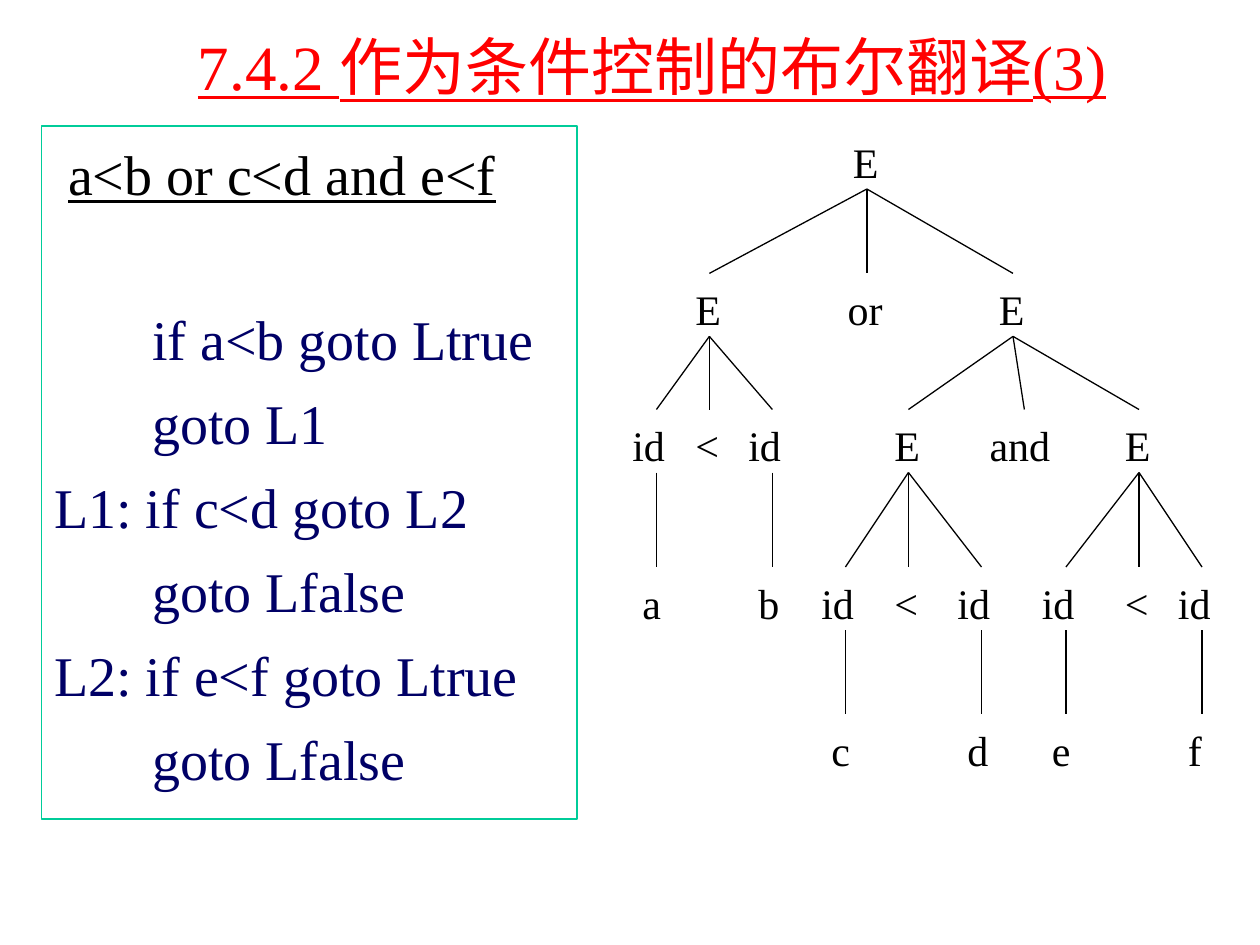
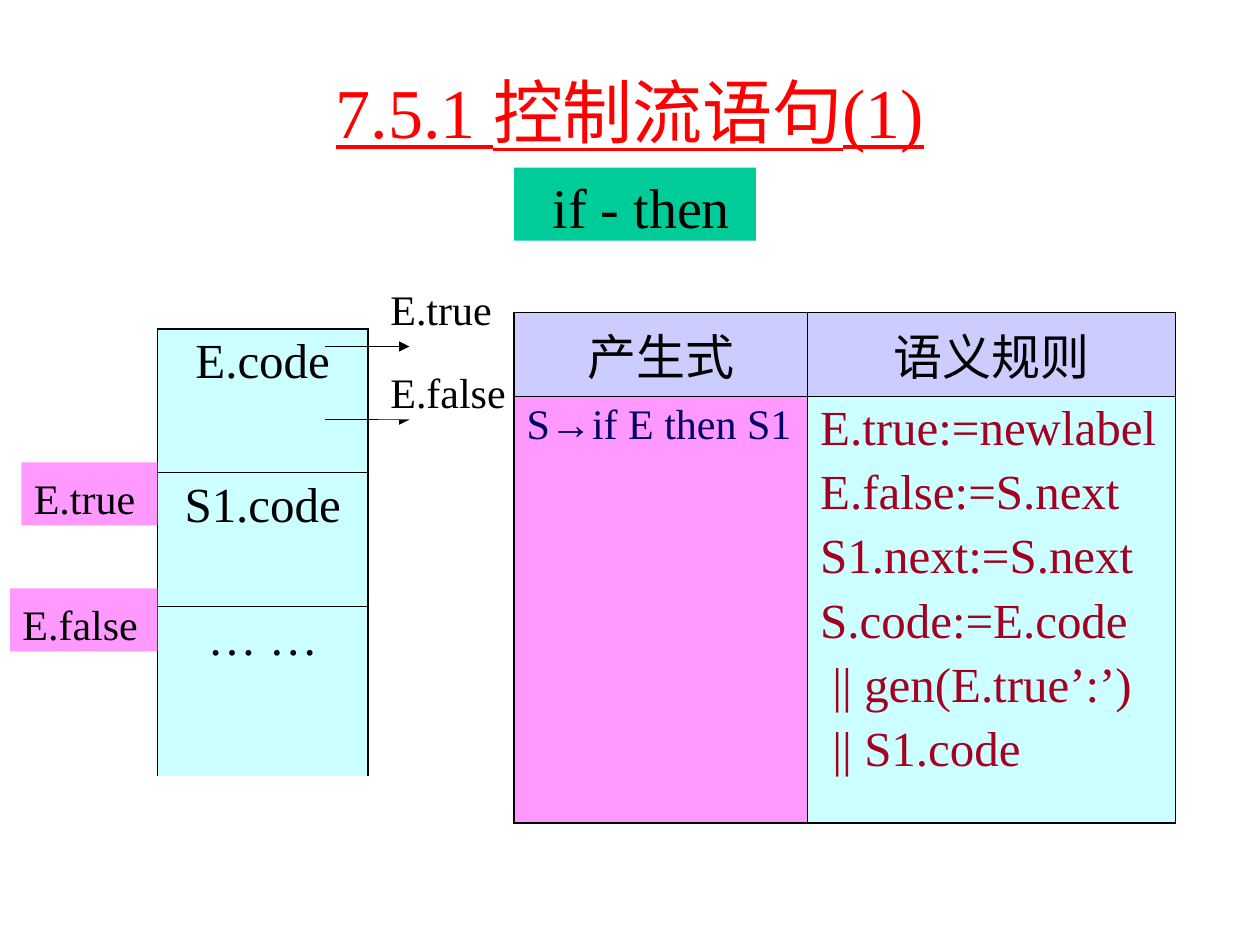
from lxml import etree
from pptx import Presentation
from pptx.dml.color import RGBColor
from pptx.enum.shapes import MSO_CONNECTOR, MSO_SHAPE
from pptx.enum.text import MSO_ANCHOR, MSO_AUTO_SIZE, PP_ALIGN
from pptx.oxml.ns import qn
from pptx.util import Inches, Pt

LINE, RECT = MSO_CONNECTOR.STRAIGHT, MSO_SHAPE.RECTANGLE
TOP, MIDDLE = MSO_ANCHOR.TOP, MSO_ANCHOR.MIDDLE
LEFT, CENTER = PP_ALIGN.LEFT, PP_ALIGN.CENTER
NOFIT = MSO_AUTO_SIZE.NONE
FONT = "Times New Roman"
COLORS = {
    "black": "000000", "white": "FFFFFF", "red": "FF0000", "green": "00CC99",
    "navy": "000066", "wine": "A50021", "pink": "FF99FF", "cyan": "CCFFFF",
    "lilac": "CCCCFF",
}
THIN, THICK = 0.45, 1.08

ROWS = [1, 2.17, 3.25, 4.5, 5.67]
WIDTHS = {"id": 0.58, "or": 0.5, "and": 0.75}
HIGH = 0.5


def node(text, x, *kids):
    return text, x, kids


def test(x, left, mid, right):
    """Subtree of one comparison; left and right are (name, x)."""
    (a, ax), (b, bx) = left, right
    return node("E", x, node("id", ax, node(a, ax)), node("<", mid),
                node("id", bx, node(b, bx)))


TREE = node(
    "E", 6.88,
    test(5.63, ("a", 5.21), 5.63, ("b", 6.13)),
    node("or", 6.88),
    node("E", 8.04,
         test(7.21, ("c", 6.71), 7.21, ("d", 7.79)),
         node("and", 8.13),
         test(9.04, ("e", 8.46), 9.04, ("f", 9.54))))

CODE = [
    "       if a<b goto Ltrue", "       goto L1",
    "L1: if c<d goto L2", "       goto Lfalse",
    "L2: if e<f goto Ltrue", "       goto Lfalse",
]
RULES = [
    "E.true:=newlabel", "E.false:=S.next", "S1.next:=S.next",
    "S.code:=E.code", " || gen(E.true’:’)", " || S1.code",
]


def rgb(name):
    return RGBColor.from_string(COLORS[name])


def place(shape, box):
    for key, val in zip(("left", "top", "width", "height"), box):
        setattr(shape, key, Inches(val))


class Deck:
    def __init__(self):
        self.prs = Presentation()
        self.prs.slide_width, self.prs.slide_height = Inches(10), Inches(7.5)
        self.slide = None

    def page(self, layout):
        self.slide = self.prs.slides.add_slide(self.prs.slide_layouts[layout])

    def say(self, par, text, size, color="black", align=LEFT, gap=0,
            **extra):
        """Fill one paragraph with text and format it."""
        par.text = text
        par.alignment = align
        par.space_before = Pt(gap)
        font = par.runs[0].font
        form = {"name": FONT, "size": Pt(size), **extra}
        for key, val in form.items():
            setattr(font, key, val)
        font.color.rgb = rgb(color)

    def frame(self, shape, **extra):
        form = {"word_wrap": True, "auto_size": NOFIT, "vertical_anchor": TOP,
                "margin_left": Inches(0.1), "margin_right": Inches(0.1),
                "margin_top": Inches(0.05), "margin_bottom": Inches(0.05),
                **extra}
        for key, val in form.items():
            setattr(shape.text_frame, key, val)
        return shape.text_frame

    def title(self, text, box, size, align, **extra):
        shape = self.slide.shapes.title
        place(shape, box)
        frame = self.frame(shape, **extra)
        self.say(frame.paragraphs[0], text, size, "red", align,
                 underline=True)

    def code(self, head, lines, box):
        """Framed listing with an underlined expression on top."""
        shape = self.slide.placeholders[1]
        place(shape, box)
        shape.line.color.rgb = rgb("green")
        shape.line.width = Pt(0.75)
        frame = self.frame(shape, margin_top=Inches(0.11))
        for i, text in enumerate([head] + lines):
            par = frame.paragraphs[0] if i == 0 else frame.add_paragraph()
            props = par._p.get_or_add_pPr()
            props.set("marL", str(Inches(0 if i else 0.11)))
            props.set("indent", "0")
            etree.SubElement(props, qn("a:buNone"))
            if i == 0:
                self.say(par, text, 32, underline=True)
            else:
                self.say(par, text, 32, "navy", gap=55.5 if i == 1 else 9.6)

    def label(self, text, box, fill=None, size=24, align=LEFT, **extra):
        dims = [Inches(v) for v in box]
        if fill:
            shape = self.slide.shapes.add_shape(RECT, *dims)
            shape.shadow.inherit = False
            shape.fill.solid()
            shape.fill.fore_color.rgb = rgb(fill)
            shape.line.fill.background()
        else:
            shape = self.slide.shapes.add_textbox(*dims)
        frame = self.frame(shape, **{"margin_top": Inches(0.08), **extra})
        self.say(frame.paragraphs[0], text, size, align=align)
        return shape

    def line(self, x1=0, y1=0, x2=0, y2=0, arrow=False):
        link = self.slide.shapes.add_connector(
            LINE, Inches(x1), Inches(y1), Inches(x2), Inches(y2))
        link.line.color.rgb = rgb("black")
        link.line.width = Pt(0.75)
        props = link._element.spPr
        if arrow:
            etree.SubElement(props.find(qn("a:ln")), qn("a:tailEnd"),
                             type="triangle")
        etree.SubElement(props, qn("a:effectLst"))
        return link

    def tree(self, item, depth=0):
        text, x, kids = item
        wide = WIDTHS.get(text, 0.42)
        top = self.label(text, (x - wide / 2, ROWS[depth], wide, HIGH))
        for kid in kids:
            low = self.tree(kid, depth + 1)
            link = self.line()
            link.begin_connect(top, 2)
            link.end_connect(low, 0)
        return top

    def edge(self, cell, side, width):
        """Border on side L, R, T or B; a zero width hides it."""
        props = cell._tc.get_or_add_tcPr()
        line = etree.SubElement(props, qn("a:ln" + side), w=str(Pt(width)))
        if width:
            fill = etree.SubElement(line, qn("a:solidFill"))
            etree.SubElement(fill, qn("a:srgbClr"), val=COLORS["black"])
        else:
            etree.SubElement(line, qn("a:noFill"))

    def table(self, x, y, cols, rows, cells, foot):
        """Cells hold (lines, fill, format); foot is the last border's width."""
        grid = self.slide.shapes.add_table(
            len(rows), len(cols), Inches(x), Inches(y),
            Inches(sum(cols)), Inches(sum(rows))).table
        grid.first_row = grid.horz_banding = False
        for col, wide in zip(grid.columns, cols):
            col.width = Inches(wide)
        for row, high in zip(grid.rows, rows):
            row.height = Inches(high)
        for r, line in enumerate(cells):
            for c, (texts, fill, form) in enumerate(line):
                cell = grid.cell(r, c)
                edges = {
                    "L": THIN if c else THICK,
                    "R": THICK if c == len(cols) - 1 else THIN,
                    "T": THIN if r else THICK,
                    "B": foot if r == len(rows) - 1 else THIN,
                }
                for side, width in edges.items():
                    self.edge(cell, side, width)
                cell.fill.solid()
                cell.fill.fore_color.rgb = rgb(fill)
                frame = cell.text_frame
                for i, text in enumerate(texts):
                    par = frame.add_paragraph() if i else frame.paragraphs[0]
                    self.say(par, text, gap=5.6 if i else 0, **form)


def parse_tree(deck):
    deck.page(1)
    deck.title("7.4.2 作为条件控制的布尔翻译(3)", (1.47, 0.17, 7.65, 0.7),
               36, LEFT, word_wrap=False)
    deck.code("a<b or c<d and e<f", CODE, (0.33, 1, 4.25, 5.5))
    deck.tree(TREE)


def flow(deck):
    deck.page(5)
    deck.title("7.5.1 控制流语句(1)", (0.75, 0.67, 8.5, 0.42), 40, CENTER,
               vertical_anchor=MIDDLE)
    deck.label("if - then", (4.08, 1.33, 1.92, 0.58), "green", 32, CENTER,
               margin_left=Inches(0.2), margin_top=Inches(0.04))
    head = {"size": 28, "align": CENTER}
    deck.table(1.25, 2.61, [1.67], [1.14, 1.06, 1.35],
               [[([text], "cyan", head)]
                for text in ("E.code", "S1.code", "… …")], 0)
    for y in (2.75, 3.33):
        deck.line(2.58, y, 3.25, y, arrow=True)
    for text, x, y, wide, fill in (
            ("E.true", 3, 2.17, 1.08, "white"),
            ("E.false", 3, 2.83, 1.25, "white"),
            ("E.true", 0.17, 3.67, 1.08, "pink"),
            ("E.false", 0.08, 4.67, 1.17, "pink")):
        deck.label(text, (x, y, wide, HIGH), fill)
    deck.table(4.08, 2.48, [2.33, 2.92], [0.57, 3.39], [
        [(["产生式"], "lilac", head), (["语义规则"], "lilac", head)],
        [(["S→if E then S1"], "pink", {"size": 24, "color": "navy"}),
         (RULES, "cyan", {"size": 28, "color": "wine"})],
    ], THICK)


def main():
    deck = Deck()
    parse_tree(deck)
    flow(deck)
    deck.prs.save("out.pptx")


if __name__ == "__main__":
    main()
